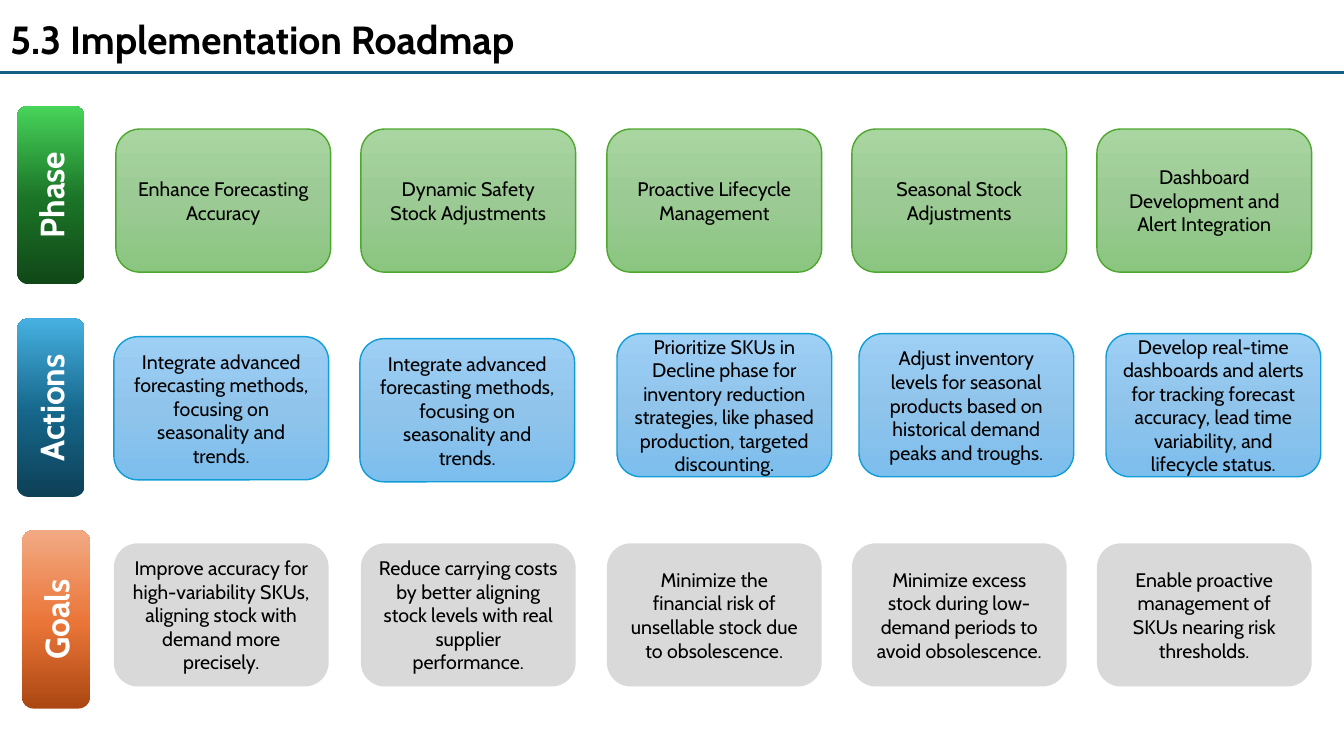
from copy import deepcopy
from dataclasses import dataclass

from pptx import Presentation
from pptx.dml.color import RGBColor
from pptx.enum.shapes import MSO_CONNECTOR as Connector, MSO_SHAPE as Shape
from pptx.enum.text import MSO_ANCHOR as Anchor, MSO_AUTO_SIZE as AutoSize, PP_ALIGN as Align
from pptx.oxml.ns import qn
from pptx.oxml.xmlchemy import OxmlElement
from pptx.util import Pt

EMU_PER_PX = 9144
PAGE_WIDTH, PAGE_HEIGHT = 1333, 750
CARD_WIDTH, CARD_HEIGHT = 213, 142
TAB_WIDTH, TAB_HEIGHT = 67, 177
FIRST_CARD, CARD_PITCH = 115, 243.25


@dataclass(frozen=True)
class Theme:
    """Fonts, type sizes and colours of the roadmap."""
    font: str = "Cabin"
    title_size: int = 28
    tab_size: int = 24
    card_size: int = 14
    ink: str = "000000"
    tab_ink: str = "FFFFFF"
    rule: str = "156082"
    phase_tab: tuple = ((0, "114818"), (48, "1B7427"), (100, "47D45A"))
    action_tab: tuple = ((0, "0E4057"), (48, "16678B"), (100, "46B1E1"))
    goal_tab: tuple = ((0, "AB4712"), (48, "EA7538"), (100, "F2AA84"))
    phase_fill: tuple = ((0, "A8D5A0"), (50, "9CCA94"), (100, "8AC680"))
    action_fill: tuple = ((0, "9ECFF5"), (50, "90C4EB"), (100, "7CBEED"))
    goal_fill: str = "D9D9D9"
    phase_line: str = "4EA72E"
    action_line: str = "0F9ED5"


THEME = Theme()


@dataclass(frozen=True)
class Row:
    """One roadmap row: its tab, its cards and any shifts of cards off the grid."""
    label: str
    tab_at: tuple
    tab_fill: tuple
    card_top: int
    card_fill: object
    card_line: object
    shifts: tuple
    texts: tuple


ON_GRID = ((0, 0),) * 5
FORECASTING = "Integrate advanced forecasting methods, focusing on seasonality and trends."

ROWS = (
    Row("Phase", (17, 105), THEME.phase_tab, 128, THEME.phase_fill, THEME.phase_line, ON_GRID, (
        "Enhance Forecasting Accuracy",
        "Dynamic Safety Stock Adjustments",
        "Proactive Lifecycle Management",
        "Seasonal Stock Adjustments",
        "Dashboard Development and Alert Integration",
    )),
    Row("Actions", (17, 316), THEME.action_tab, 331, THEME.action_fill, THEME.action_line,
        ((-2, 3), (-1, 5), (10, 0), (7, 0), (9, 0)), (
            FORECASTING,
            FORECASTING,
            "Prioritize SKUs in Decline phase for inventory reduction strategies, "
            "like phased production, targeted discounting.",
            "Adjust inventory levels for seasonal products based on historical demand "
            "peaks and troughs.",
            "Develop real-time dashboards and alerts for tracking forecast accuracy, "
            "lead time variability, and lifecycle status.",
        )),
    Row("Goals", (22, 526), THEME.goal_tab, 539, THEME.goal_fill, None,
        ((-2, 0),) + ON_GRID[1:], (
            "Improve accuracy for high-variability SKUs, aligning stock with demand more precisely.",
            "Reduce carrying costs by better aligning stock levels with real supplier performance.",
            "Minimize the financial risk of unsellable stock due to obsolescence.",
            "Minimize excess stock during low-demand periods to avoid obsolescence.",
            "Enable proactive management of SKUs nearing risk thresholds.",
        )),
)


def px(*lengths):
    """Turn pixel lengths into EMU."""
    return [round(length) * EMU_PER_PX for length in lengths]


def write(box, text, size, color, align, bold=False):
    """Set the text of a box and format it."""
    box.text_frame.text = text
    para = box.text_frame.paragraphs[0]
    para.alignment = align
    font = para.runs[0].font
    font.name, font.size, font.bold = THEME.font, Pt(size), bold
    font.color.rgb = RGBColor.from_string(color)


def paint(box, fill, angle):
    """Fill a box with one colour or with three gradient stops."""
    if isinstance(fill, str):
        box.fill.solid()
        box.fill.fore_color.rgb = RGBColor.from_string(fill)
        return
    box.fill.gradient()
    box.fill.gradient_angle = angle
    stop_list = box._element.spPr.find(qn("a:gradFill")).find(qn("a:gsLst"))
    stop_list.append(deepcopy(stop_list[0]))
    for stop, (percent, color) in zip(box.fill.gradient_stops, fill):
        stop.position = percent / 100
        stop.color.rgb = RGBColor.from_string(color)


def add_box(page, at, size, fill, angle, line=None):
    """Add a rounded box with its fill and optional outline."""
    box = page.shapes.add_shape(Shape.ROUNDED_RECTANGLE, *px(*at, *size))
    box.shadow.inherit = False
    paint(box, fill, angle)
    if line:
        box.line.color.rgb = RGBColor.from_string(line)
        box.line.width = Pt(1)
    else:
        box.line.fill.background()
    return box


def add_title(page, text):
    """Place the title and the rule beneath it."""
    title = page.shapes.title
    title.left, title.top, title.width, title.height = px(0, 10, 1353, 57)
    write(title, text, THEME.title_size, THEME.ink, Align.LEFT, bold=True)
    title.text_frame.vertical_anchor = Anchor.TOP
    title.text_frame.auto_size = AutoSize.SHAPE_TO_FIT_TEXT
    rule = page.shapes.add_connector(Connector.STRAIGHT, *px(0, 72, PAGE_WIDTH, 72))
    rule.line.color.rgb = RGBColor.from_string(THEME.rule)
    rule.line.width = Pt(1.5)
    rule._element.spPr.append(OxmlElement("a:effectLst"))


def add_tab(page, row):
    """Add the upright label of a row."""
    tab = add_box(page, row.tab_at, (TAB_WIDTH, TAB_HEIGHT), row.tab_fill, 90)
    write(tab, row.label, THEME.tab_size, THEME.tab_ink, Align.CENTER, bold=True)
    tab.text_frame._txBody.bodyPr.set("vert", "vert270")


def add_cards(page, row):
    """Add the five cards of a row."""
    for column, (text, (shift_x, shift_y)) in enumerate(zip(row.texts, row.shifts)):
        left = round(FIRST_CARD + column * CARD_PITCH) + shift_x
        card = add_box(page, (left, row.card_top + shift_y), (CARD_WIDTH, CARD_HEIGHT),
                       row.card_fill, 270, row.card_line)
        write(card, text, THEME.card_size, THEME.ink, Align.CENTER)


def main():
    """Build the roadmap slide and save it."""
    deck = Presentation()
    deck.slide_width, deck.slide_height = px(PAGE_WIDTH, PAGE_HEIGHT)
    page = deck.slides.add_slide(deck.slide_layouts[5])
    add_title(page, "5.3 Implementation Roadmap")
    for row in ROWS:
        add_tab(page, row)
        add_cards(page, row)
    deck.save("out.pptx")


if __name__ == "__main__":
    main()
